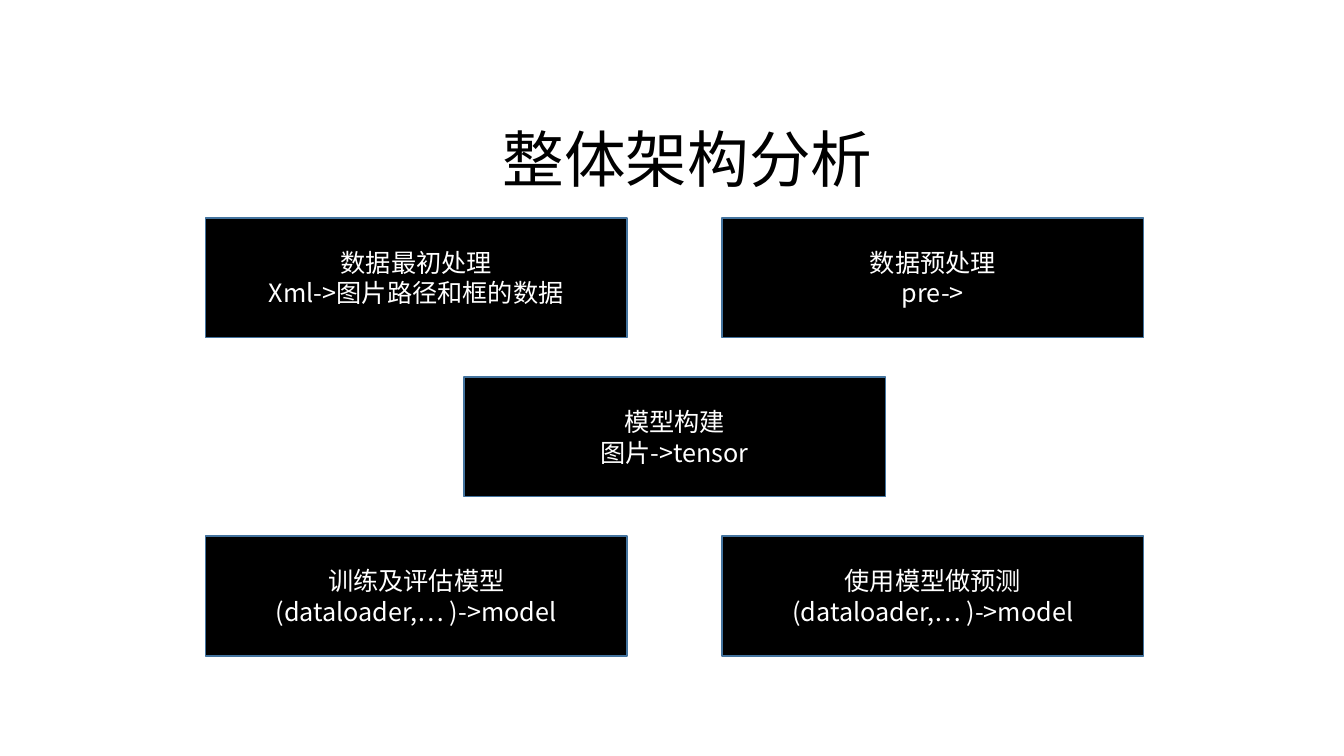
from dataclasses import dataclass

from lxml import etree
from pptx import Presentation
from pptx import util as u
from pptx.dml import color
from pptx.enum import shapes, text
from pptx.oxml import ns


@dataclass(frozen=True)
class Theme:
    """Colours, font and type sizes of the slide."""
    dark: color.RGBColor = color.RGBColor(0, 0, 0)
    light: color.RGBColor = color.RGBColor(255, 255, 255)
    edge: color.RGBColor = color.RGBColor(0x43, 0x73, 0x9E)
    font: str = "Noto Sans CJK SC"
    head: int = 44
    body: int = 18


THEME = Theme()
LEFT, TOP = 5.18, 5.49
STEP_X, STEP_Y = 6.51, 4.01
WIDTH, HEIGHT = 10.62, 3.02

STAGES = [
    (0, 0, "数据最初处理\nXml->图片路径和框的数据"),
    (2, 0, "数据预处理\npre->"),
    (1, 1, "模型构建\n图片->tensor"),
    (0, 2, "训练及评估模型\n(dataloader,… )->model"),
    (2, 2, "使用模型做预测\n(dataloader,… )->model"),
]


def style(frame, size, tint, align):
    """Format every run of a text frame."""
    for para in frame.paragraphs:
        para.alignment = align
        for run in para.runs:
            run.font.size = u.Pt(size)
            run.font.color.rgb = tint
            run.font.name = THEME.font
            east = etree.SubElement(run.font._element, ns.qn("a:ea"))
            east.set("typeface", THEME.font)


def add_title(slide, words):
    """Add the heading above the stages."""
    box = slide.shapes.add_textbox(u.Cm(12.42), u.Cm(2.92), u.Cm(9.88), u.Cm(2.13))
    frame = box.text_frame
    frame.word_wrap = True
    frame.auto_size = text.MSO_AUTO_SIZE.SHAPE_TO_FIT_TEXT
    frame.text = words
    style(frame, THEME.head, THEME.dark, text.PP_ALIGN.LEFT)


def add_stage(slide, col, row, words):
    """Add one stage box at a half-column and row of the grid."""
    box = slide.shapes.add_shape(
        shapes.MSO_SHAPE.RECTANGLE,
        u.Cm(LEFT + col * STEP_X), u.Cm(TOP + row * STEP_Y),
        u.Cm(WIDTH), u.Cm(HEIGHT))
    box.shadow.inherit = False
    box.fill.solid()
    box.fill.fore_color.rgb = THEME.dark
    box.line.color.rgb = THEME.edge
    box.line.width = u.Pt(1)
    frame = box.text_frame
    frame.word_wrap = True
    frame.vertical_anchor = text.MSO_ANCHOR.MIDDLE
    frame.text = words
    style(frame, THEME.body, THEME.light, text.PP_ALIGN.CENTER)


def main():
    """Build the slide and save it."""
    deck = Presentation()
    deck.slide_width, deck.slide_height = u.Cm(33.87), u.Cm(19.05)
    slide = deck.slides.add_slide(deck.slide_layouts[6])
    add_title(slide, "整体架构分析")
    for col, row, words in STAGES:
        add_stage(slide, col, row, words)
    deck.save("out.pptx")


if __name__ == "__main__":
    main()
